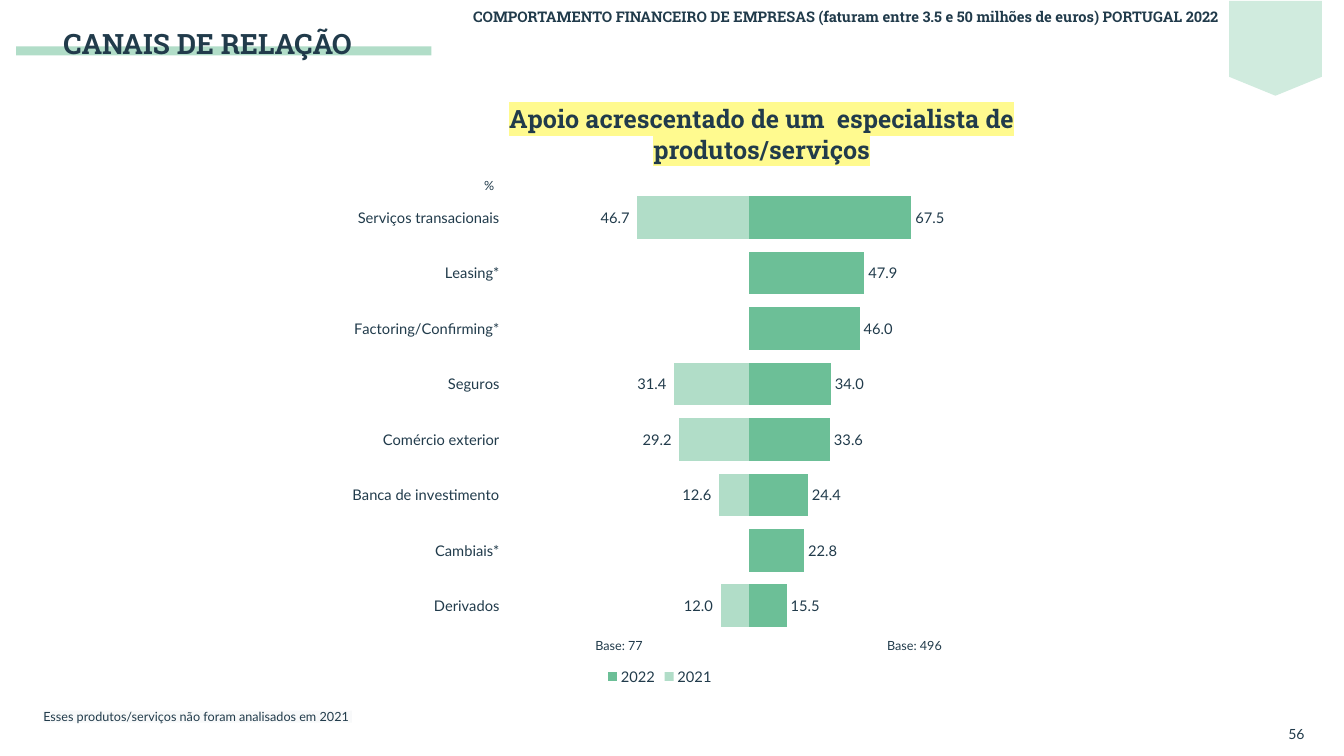
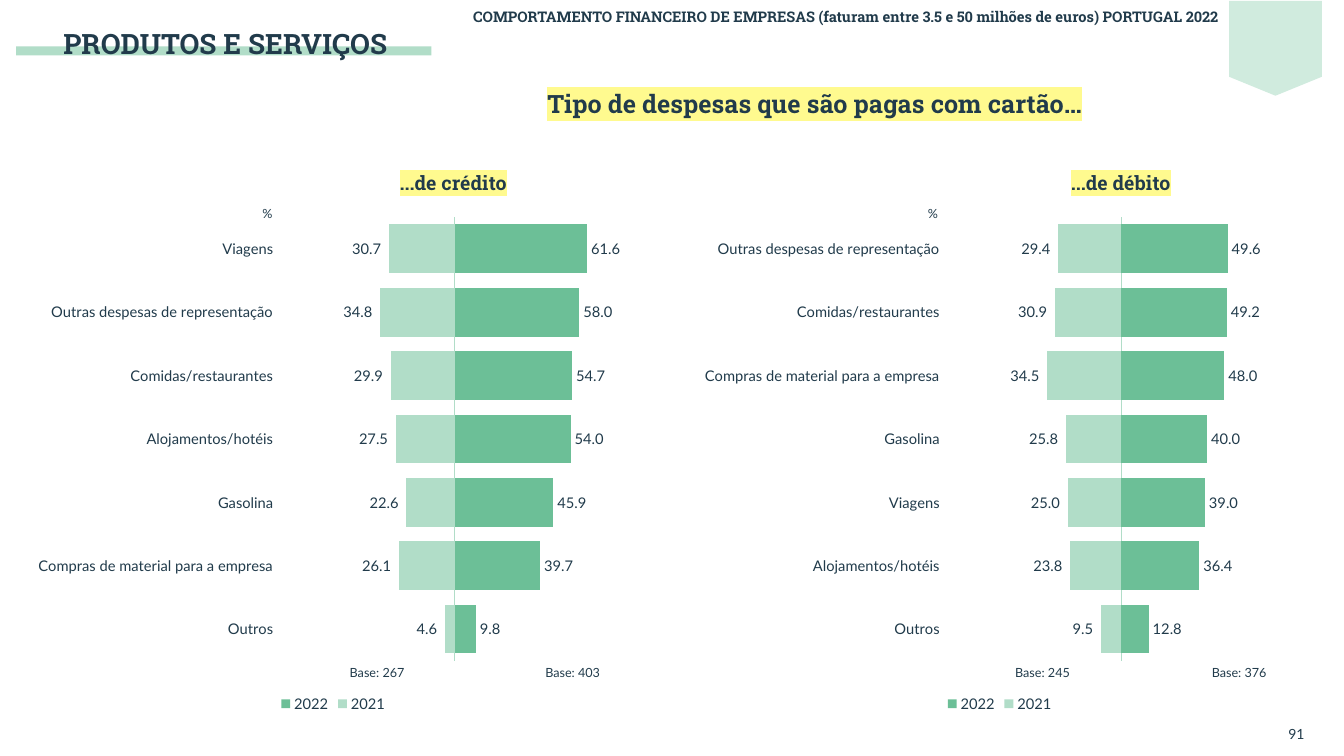
from dataclasses import dataclass

from lxml.etree import SubElement
from pptx import Presentation
from pptx.chart.data import CategoryChartData as Data
from pptx.dml.color import RGBColor as Rgb
from pptx.enum.chart import XL_CHART_TYPE as Kind, XL_LABEL_POSITION as Spot
from pptx.enum.chart import XL_LEGEND_POSITION as Side
from pptx.enum.chart import XL_TICK_LABEL_POSITION as Low, XL_TICK_MARK as Tick
from pptx.enum.shapes import MSO_SHAPE as Form
from pptx.enum.text import MSO_ANCHOR as Anchor, PP_ALIGN as Align
from pptx.oxml import parse_xml
from pptx.oxml.ns import nsdecls, qn
from pptx.util import Pt

PX = 9144  # 100 px to the inch


@dataclass(frozen=True)
class Theme:
    ink: str = "213B4B"
    deep: str = "6CBF97"
    soft: str = "B1DDC8"
    pale: str = "D0EBDE"
    mark: str = "FFFA8F"
    mist: str = "F8F9FA"
    head: str = "Roboto Slab"
    body: str = "Lato"
    title: float = 20
    topic: float = 18
    sub: float = 14
    label: float = 10.5
    page: float = 10
    note: float = 9


T = Theme()
rgb = Rgb.from_string


def write(slide, text, box, size=T.note, font=T.body, bold=False,
          align=Align.LEFT, mark=None, fill=None):
    """Put one line of text on the slide, on a filled band if asked."""
    area = [n * PX for n in box]
    if fill:
        shape = slide.shapes.add_shape(Form.RECTANGLE, *area)
        shape.shadow.inherit = False
        shape.fill.solid()
        shape.fill.fore_color.rgb = rgb(fill)
        shape.line.fill.background()
    else:
        shape = slide.shapes.add_textbox(*area)
    frame = shape.text_frame
    frame.word_wrap = not fill
    if fill:
        frame.margin_left = frame.margin_right = 0
        frame.margin_top = frame.margin_bottom = -PX
        frame.vertical_anchor = Anchor.MIDDLE
    par = frame.paragraphs[0]
    par.alignment = align
    run = par.add_run()
    run.text = text
    run.font.size = Pt(size)
    run.font.name = font
    run.font.bold = bold
    run.font.color.rgb = rgb(T.ink)
    if mark:
        tint = parse_xml(f'<a:highlight {nsdecls("a")}><a:srgbClr val="{mark}"/></a:highlight>')
        run.font.fill._xPr.find(qn("a:solidFill")).addnext(tint)


def plot(slide, box, rows, span, inner, axis):
    """Draw 2021 to the left and 2022 to the right of one axis."""
    data = Data()
    data.categories = [row[0] for row in rows]
    data.add_series("2021", [None if row[1] is None else -row[1] for row in rows])
    data.add_series("2022", [row[2] for row in rows])
    chart = slide.shapes.add_chart(Kind.BAR_CLUSTERED, *[n * PX for n in box], data).chart
    chart.has_title = False
    chart.font.name = T.body
    chart.font.size = Pt(T.label)
    chart.font.color.rgb = rgb(T.ink)
    chart.has_legend = True
    chart.legend.position = Side.BOTTOM
    chart.legend.include_in_layout = False

    # Axes
    cats, vals = chart.category_axis, chart.value_axis
    cats.reverse_order = True
    cats.tick_label_position = Low.LOW
    cats.major_tick_mark = Tick.NONE
    if axis:
        cats.format.line.color.rgb = rgb(T.soft)
        cats.format.line.width = Pt(0.73)
    else:
        cats.format.line.fill.background()
    vals.minimum_scale, vals.maximum_scale = -span, span
    vals.major_unit = 100
    vals.has_major_gridlines = False
    vals.visible = False

    # Bars and labels
    bars = chart.plots[0]
    bars.gap_width, bars.overlap = 30, 100
    bars.vary_by_categories = False
    looks = [(T.soft, "0.0_ ;0.0\\ "), (T.deep, "#,##0.0")]
    for series, (color, form) in zip(bars.series, looks):
        series.invert_if_negative = False
        series.format.fill.solid()
        series.format.fill.fore_color.rgb = rgb(color)
        tags = series.data_labels
        tags.show_value = True
        tags.number_format = form
        tags.number_format_is_linked = False
        tags.position = Spot.OUTSIDE_END

    # Inner plot area
    area = chart._chartSpace.chart.plotArea
    for old in area.findall(qn("c:layout")):
        area.remove(old)
    lay = parse_xml(f'<c:layout {nsdecls("c")}><c:manualLayout/></c:layout>')
    parts = [("layoutTarget", "inner"), ("xMode", "edge"), ("yMode", "edge"),
             *zip("xywh", inner)]
    for name, val in parts:
        SubElement(lay[0], qn(f"c:{name}")).set("val", str(val))
    area.insert(0, lay)


# Content: category, 2021, 2022
support = [
    ("Serviços transacionais", 46.7, 67.5),
    ("Leasing*", None, 47.9),
    ("Factoring/Confirming*", None, 46.0),
    ("Seguros", 31.4, 34.0),
    ("Comércio exterior", 29.2, 33.6),
    ("Banca de investimento", 12.6, 24.4),
    ("Cambiais*", None, 22.8),
    ("Derivados", 12.0, 15.5),
]
credit = [
    ("Viagens", 30.7, 61.6),
    ("Outras despesas de representação", 34.8, 58.0),
    ("Comidas/restaurantes", 29.9, 54.7),
    ("Alojamentos/hotéis", 27.5, 54.0),
    ("Gasolina", 22.6, 45.9),
    ("Compras de material para a empresa", 26.1, 39.7),
    ("Outros", 4.6, 9.8),
]
debit = [
    ("Outras despesas de representação", 29.4, 49.6),
    ("Comidas/restaurantes", 30.9, 49.2),
    ("Compras de material para a empresa", 34.5, 48.0),
    ("Gasolina", 25.8, 40.0),
    ("Viagens", 25.0, 39.0),
    ("Alojamentos/hotéis", 23.8, 36.4),
    ("Outros", 9.5, 12.8),
]

deck = Presentation()
deck.slide_width, deck.slide_height = 1333 * PX, 750 * PX

# Shared frame: corner tag, page number, header, title band
pages = []
for title, page in [("CANAIS DE RELAÇÃO", "56"), ("PRODUTOS E SERVIÇOS", "91")]:
    slide = deck.slides.add_slide(deck.slide_layouts[6])
    pages.append(slide)
    for form, box, color in [
        (Form.FLOWCHART_OFFPAGE_CONNECTOR, (1219, 1, 92, 94), T.pale),
        (Form.RECTANGLE, (16, 46, 412, 9), T.soft),
    ]:
        shape = slide.shapes.add_shape(form, *[n * PX for n in box])
        shape.shadow.inherit = False
        shape.fill.solid()
        shape.fill.fore_color.rgb = rgb(color)
        shape.line.fill.background()
    write(slide, page, (1268, 715, 60, 27), size=T.page)
    write(slide, "COMPORTAMENTO FINANCEIRO DE EMPRESAS (faturam entre 3.5 e 50 milhões de euros) PORTUGAL 2022",
          (433, 3, 786, 28), size=T.label, font=T.head, bold=True, align=Align.RIGHT)
    write(slide, title, (53, 21, 605, 44), size=T.title, font=T.head, bold=True)
first, second = pages

# Highlighted headings
for slide, text, box, size, align in [
    (first, "Apoio acrescentado de um  especialista de produtos/serviços",
     (408, 98, 695, 40), T.topic, Align.CENTER),
    (second, "Tipo de despesas que são pagas com cartão…",
     (533, 83, 592, 40), T.topic, Align.LEFT),
    (second, "...de crédito", (382, 165, 135, 34), T.sub, Align.CENTER),
    (second, "...de débito", (1044, 165, 135, 34), T.sub, Align.CENTER),
]:
    write(slide, text, box, size=size, font=T.head, bold=True, align=align, mark=T.mark)

# Charts, each with its unit and its two bases
wide = (0.306, 0.034, 0.619, 0.858)
slim = (0.418, 0.034, 0.563, 0.858)
for slide, box, rows, span, inner, axis, unit, bases in [
    (first, (270, 171, 769, 513), support, 100, wide, False, 192, [(292, 77), (585, 496)]),
    (second, (28, 198, 605, 513), credit, 80, slim, True, 214, [(294, 267), (488, 403)]),
    (second, (689, 198, 605, 513), debit, 80, slim, True, 213, [(293, 245), (488, 376)]),
]:
    left, top = box[:2]
    plot(slide, box, rows, span, inner, axis)
    write(slide, "%", (left + unit, top + 1, 38, 25), align=Align.RIGHT)
    for step, count in bases:
        write(slide, f"Base: {count}", (left + step, top + 457, 104, 25), align=Align.CENTER)

# Footnote
write(first, "Esses produtos/serviços não foram analisados em 2021", (43, 705, 306, 12), fill=T.mist)

deck.save("out.pptx")
